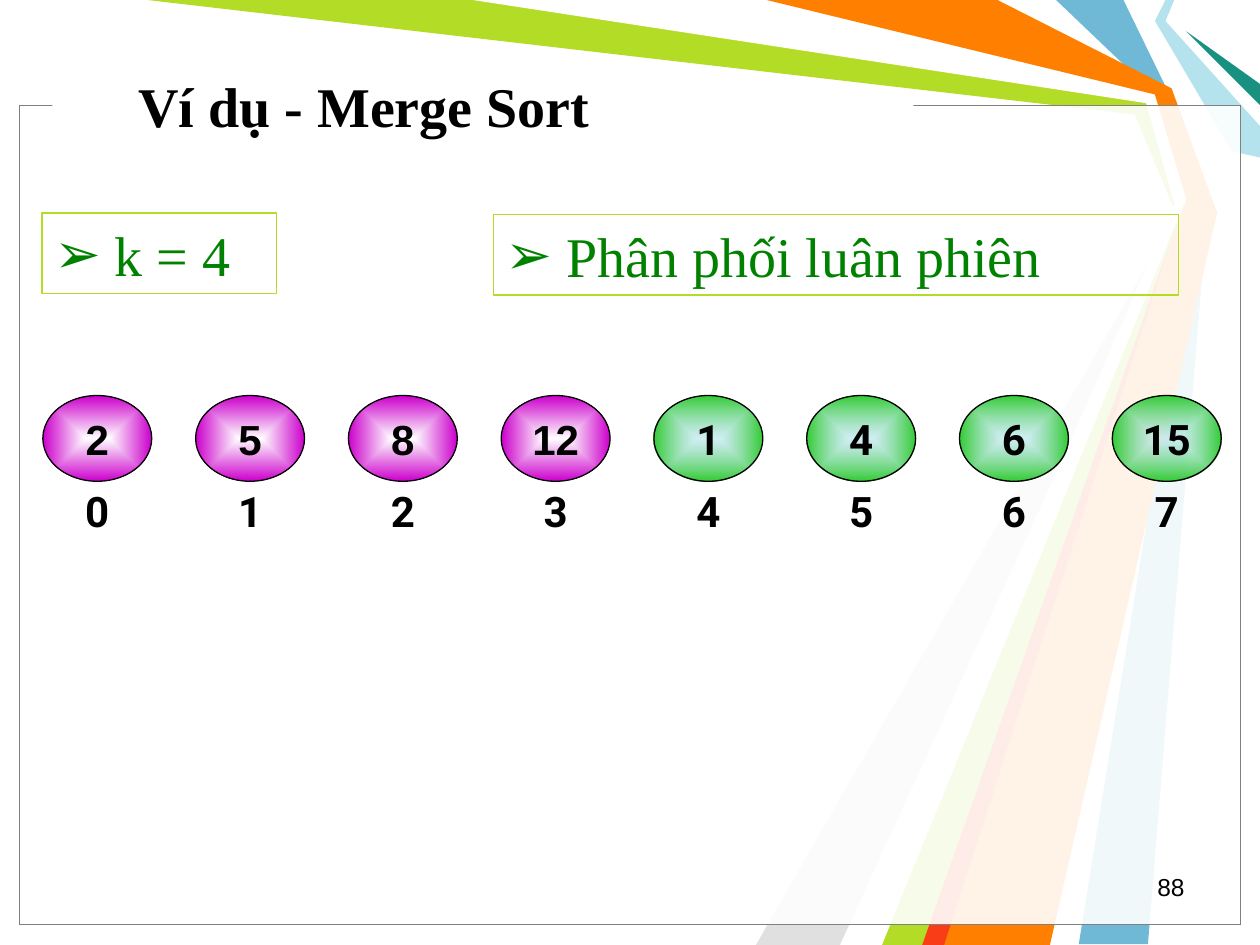
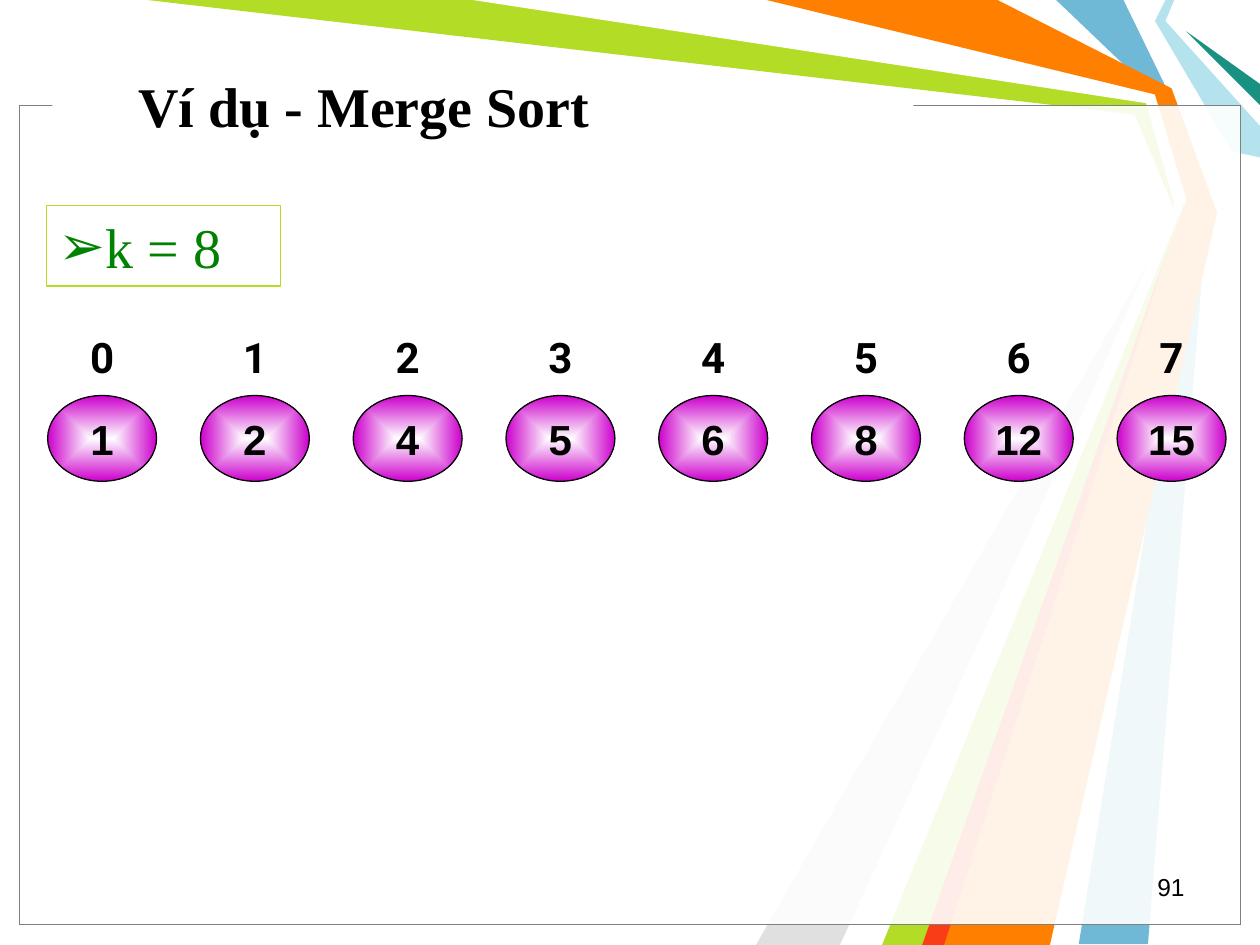
from dataclasses import dataclass

from lxml import etree
from pptx import Presentation
from pptx.dml.color import RGBColor
from pptx.enum.shapes import MSO_SHAPE
from pptx.enum.text import MSO_ANCHOR, PP_ALIGN
from pptx.oxml import parse_xml
from pptx.oxml.ns import qn
from pptx.util import Pt

RECT, OVAL = MSO_SHAPE.RECTANGLE, MSO_SHAPE.OVAL
TOP, MIDDLE, BOTTOM = MSO_ANCHOR.TOP, MSO_ANCHOR.MIDDLE, MSO_ANCHOR.BOTTOM
LEFT, CENTER, RIGHT = PP_ALIGN.LEFT, PP_ALIGN.CENTER, PP_ALIGN.RIGHT

COLORS = {
    "black": "000000", "white": "FFFFFF", "gray": "808080", "silver": "E0E0E0",
    "blue": "6FB9D7", "lime": "B3DC27", "ice": "B4E3EE", "teal": "189180",
    "orange": "FF7F00", "red": "F93D17", "magenta": "CC00CC",
    "green": "33CC33", "text_green": "008200",
}
SERIF, SANS, INDEX_FONT = "Times New Roman", "Arial", "Roboto"
DRAWING_NS = "http://schemas.openxmlformats.org/drawingml/2006/main"

# Ribbons of the background, from back to front
RIBBONS = [
    ("blue", [(642, 0), (669, 55.5), (690, 120), (656, 539.5), (616.5, 539.5),
              (684, 120), (660, 54), (603.5, 0)]),
    ("lime", [(84, 0), (276, 0), (658, 56), (678, 121.5), (534, 540),
              (498, 540), (673, 124.5), (648.5, 65.5)]),
    ("silver", [(480, 540), (667.5, 130.5), (432, 540)]),
    ("white", [(270, 0), (655, 59), (671, 116.5), (486, 540), (504, 540),
               (677.5, 114), (660, 54), (432, 0)]),
    ("ice", [(666, 0), (660, 12), (704, 86.5), (720, 90), (720, 72),
             (666, 12), (671, 0)]),
    ("teal", [(720, 60), (678, 18), (720, 48)]),
    ("orange", [(438, 0), (570, 0), (669.5, 50.5), (695.5, 121.5), (600, 540),
                (528, 540), (678, 114), (660, 54)]),
    ("red", [(527, 540), (671, 132), (539.5, 540)]),
]

# Row of array cells
CELL_STEP, CELL_W, CELL_H, CELL_TOP, INDEX_H = 87.3, 62.25, 49, 226, 47.5


@dataclass
class Box:
    left: float
    top: float
    width: float
    height: float

    def emu(self) -> list[Pt]:
        return [Pt(v) for v in (self.left, self.top, self.width, self.height)]


@dataclass
class CellStyle:
    inner: str
    outer: str
    font: str
    inner_alpha: int = 100


@dataclass
class Note:
    text: str
    box: Box
    indent: float


@dataclass
class SortStep:
    page: str
    notes: list[Note]
    runs: list[tuple[CellStyle, list[int]]]
    row_left: float
    index_top: float


MAGENTA = CellStyle("white", "magenta", SANS)
GREEN = CellStyle("ice", "green", INDEX_FONT, 60)

STEPS = [
    SortStep("88",
             [Note("k = 4", Box(24, 121.75, 134, 46), 34.5),
              Note("Phân phối luân phiên", Box(282, 122.5, 391.5, 46), 34.5)],
             [(MAGENTA, [2, 5, 8, 12]), (GREEN, [1, 4, 6, 15])], 24.5, 268),
    SortStep("91",
             [Note("k = 8", Box(26.5, 117.5, 134, 46), 26.5)],
             [(MAGENTA, [1, 2, 4, 5, 6, 8, 12, 15])], 27.25, 180),
]


def rgb(name: str) -> RGBColor:
    return RGBColor.from_string(COLORS[name])


def paint(sp, fill: str | None, line: str | None = None, alpha: int = 100) -> None:
    sp.shadow.inherit = False
    if fill:
        sp.fill.solid()
        sp.fill.fore_color.rgb = rgb(fill)
        if alpha < 100:
            color = sp.fill._xPr.find(".//" + qn("a:srgbClr"))
            etree.SubElement(color, qn("a:alpha"), val=str(alpha * 1000))
    else:
        sp.fill.background()
    if line:
        sp.line.color.rgb = rgb(line)
        sp.line.width = Pt(0.75)
    else:
        sp.line.fill.background()


def add_shape(s, kind, box: Box, fill: str | None = None,
              line: str | None = None, alpha: int = 100):
    sp = s.shapes.add_shape(kind, *box.emu())
    paint(sp, fill, line, alpha)
    return sp


def fill_gradient(sp, style: CellStyle) -> None:
    """Blend from the inner colour at the centre to the outer one at the rim."""
    no_fill = sp._element.spPr.find(qn("a:noFill"))
    no_fill.getparent().replace(no_fill, parse_xml(
        f'<a:gradFill xmlns:a="{DRAWING_NS}" rotWithShape="1"><a:gsLst>'
        f'<a:gs pos="0"><a:srgbClr val="{COLORS[style.inner]}">'
        f'<a:alpha val="{style.inner_alpha * 1000}"/></a:srgbClr></a:gs>'
        f'<a:gs pos="100000"><a:srgbClr val="{COLORS[style.outer]}"/></a:gs>'
        '</a:gsLst><a:path path="shape">'
        '<a:fillToRect l="50000" t="50000" r="50000" b="50000"/>'
        '</a:path></a:gradFill>'))


def write(sp, text: str, *, size: float, font: str, color: str = "black",
          bold: bool = False, align=LEFT, anchor=MIDDLE, wrap: bool = True,
          bullet: str = "", indent: float = 0) -> None:
    tf = sp.text_frame
    tf.word_wrap = wrap
    tf.vertical_anchor = anchor
    p = tf.paragraphs[0]
    p.alignment = align
    if bullet:
        pPr = p._p.get_or_add_pPr()
        pPr.set("marL", str(Pt(indent)))
        pPr.set("indent", str(-Pt(indent)))
        etree.SubElement(pPr, qn("a:buFont"), typeface=SANS)
        etree.SubElement(pPr, qn("a:buChar"), char=bullet)
    r = p.add_run()
    r.text = text
    r.font.size, r.font.name, r.font.bold = Pt(size), font, bold
    r.font.color.rgb = rgb(color)


def draw_background(s) -> None:
    for color, points in RIBBONS:
        start, *rest = [(Pt(x), Pt(y)) for x, y in points]
        builder = s.shapes.build_freeform(*start)
        builder.add_line_segments(rest, close=True)
        paint(builder.convert_to_shape(), color)
    # Translucent double panel, its top edge interrupted behind the title
    for line in ("black", "gray"):
        add_shape(s, RECT, Box(11.25, 60.25, 697.5, 468), "white", line, alpha=69)
    add_shape(s, RECT, Box(30, 53.5, 492, 12), "white")


def draw_cells(s, step: SortStep) -> None:
    cells = [(style, value) for style, values in step.runs for value in values]
    for i, (style, value) in enumerate(cells):
        left = step.row_left + i * CELL_STEP
        sp = add_shape(s, OVAL, Box(left, CELL_TOP, CELL_W, CELL_H), line="black")
        fill_gradient(sp, style)
        index = add_shape(s, OVAL, Box(left, step.index_top, CELL_W, INDEX_H))
        for shape, number, font in ((sp, value, style.font), (index, i, INDEX_FONT)):
            write(shape, str(number), size=24, font=font, bold=True,
                  align=CENTER, wrap=False)


def build_slide(prs, step: SortStep) -> None:
    s = prs.slides.add_slide(prs.slide_layouts[6])
    draw_background(s)
    # Title and page number
    title = s.shapes.add_textbox(*Box(72, 30, 496, 60).emu())
    write(title, "Ví dụ - Merge Sort", size=32, font=SERIF, bold=True)
    page = s.shapes.add_textbox(*Box(516, 494.5, 168, 24).emu())
    write(page, step.page, size=14, font=SANS, align=RIGHT, anchor=TOP)
    # Array and framed notes
    draw_cells(s, step)
    for note in step.notes:
        sp = add_shape(s, RECT, note.box, line="lime")
        write(sp, note.text, size=32, font=SERIF, color="text_green",
              anchor=BOTTOM, bullet="➢", indent=note.indent)


def main() -> None:
    prs = Presentation()
    prs.slide_width, prs.slide_height = Pt(720), Pt(540)
    for step in STEPS:
        build_slide(prs, step)
    prs.save("out.pptx")


if __name__ == "__main__":
    main()
